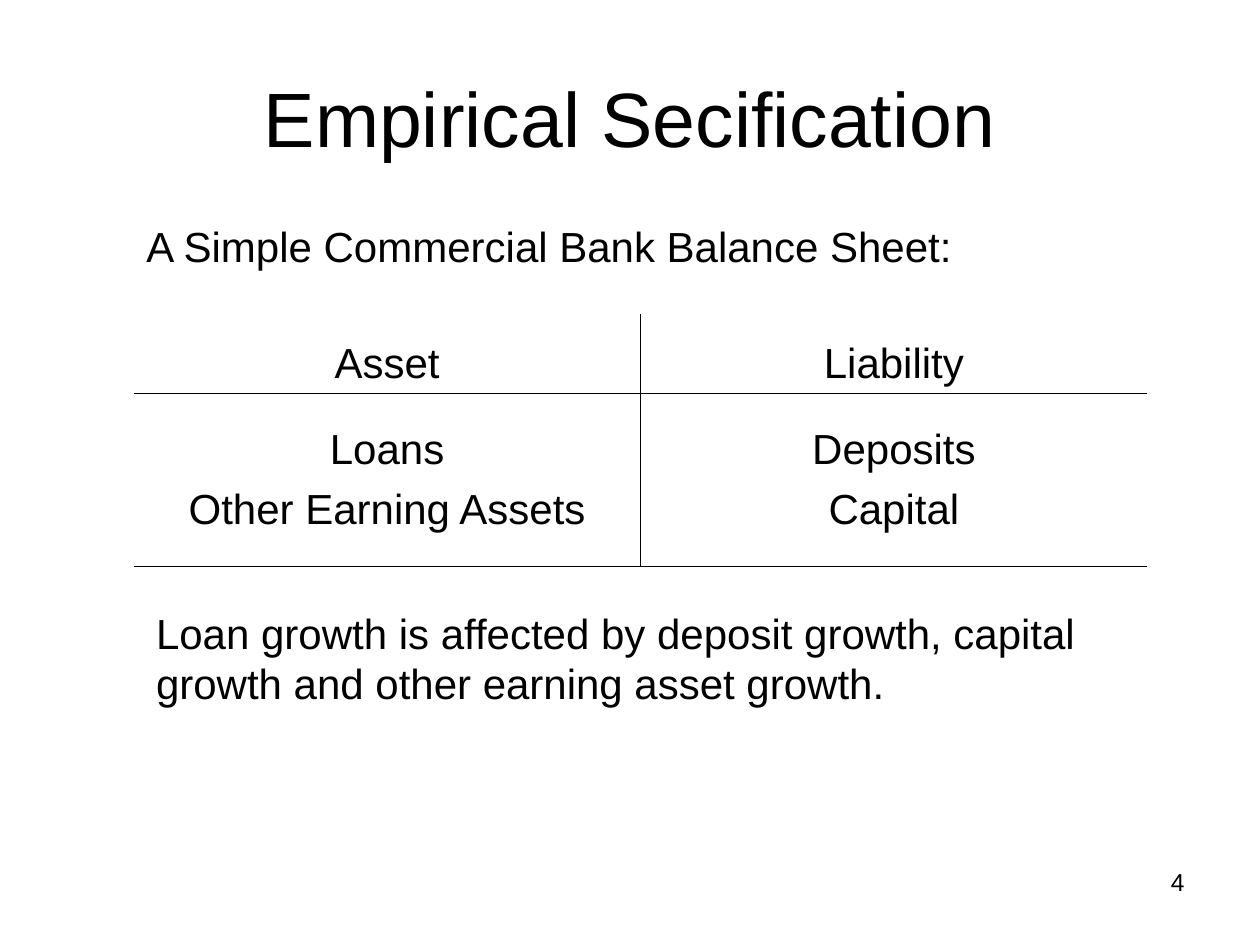
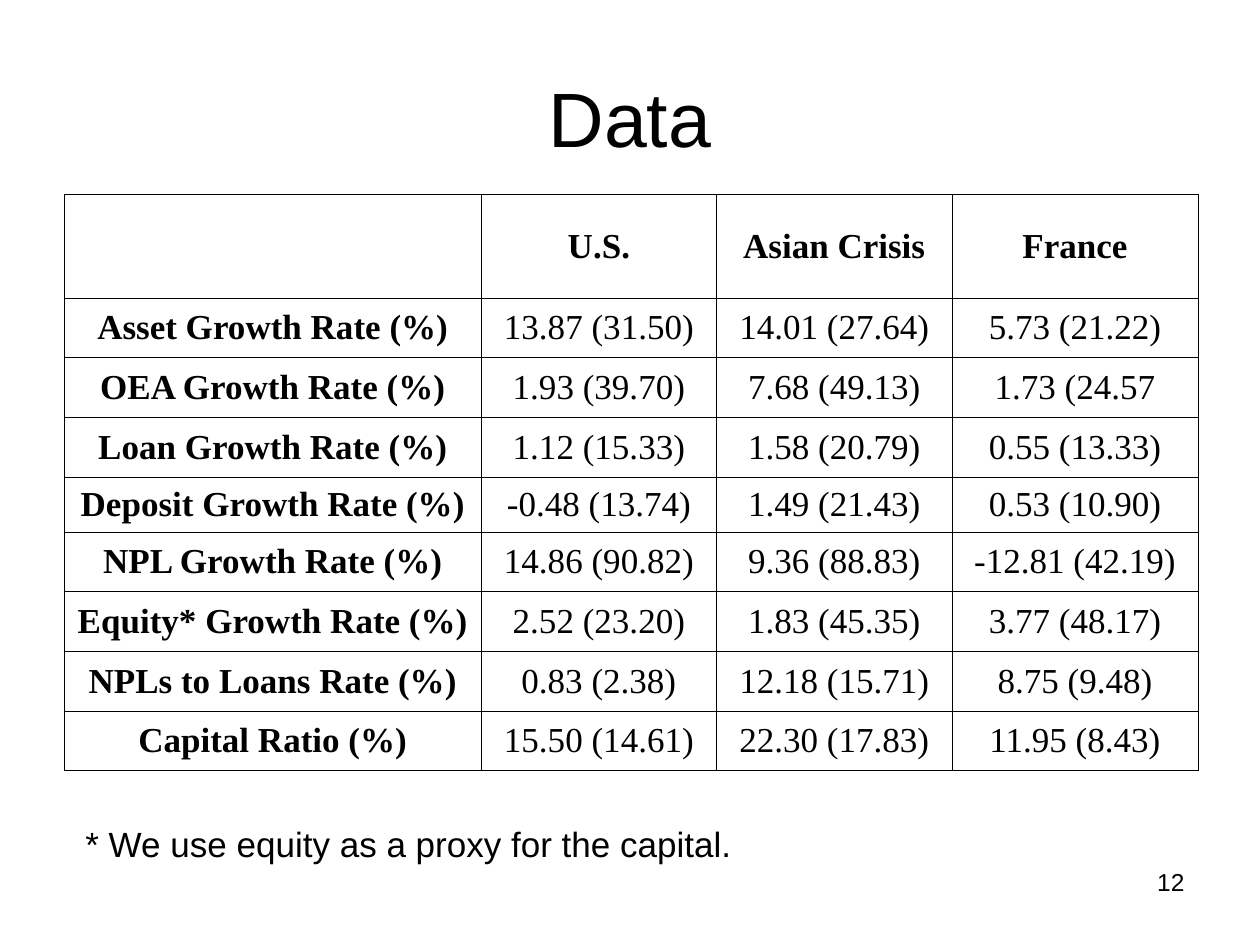
from dataclasses import dataclass

from lxml.etree import SubElement
from pptx import Presentation
from pptx.dml.color import RGBColor
from pptx.enum.text import MSO_ANCHOR as Anchor, MSO_AUTO_SIZE as AutoSize, PP_ALIGN as Align
from pptx.oxml.ns import qn
from pptx.util import Pt


@dataclass(frozen=True)
class Theme:
    ink: str = "000000"
    paper: str = "FFFFFF"
    sans: str = "Arial"
    serif: str = "Times New Roman"
    title: int = 44
    body: int = 24
    small: int = 20
    footer: int = 14
    hairline: float = 0.34
    rule: float = 0.45
    frame: float = 0.96


class Deck:
    def __init__(self, theme):
        self.theme = theme
        self.presentation = Presentation()
        self.presentation.slide_width = Pt(720)
        self.presentation.slide_height = Pt(540)
        self.slide = None

    def page(self, heading, number):
        self.slide = self.presentation.slides.add_slide(self.presentation.slide_layouts[6])
        background = self.slide.background.fill
        background.solid()
        background.fore_color.rgb = RGBColor.from_string(self.theme.paper)
        self.text((36, 21.6, 648, 90), [heading], self.theme.title, Align.CENTER, Anchor.MIDDLE)
        self.text((516.24, 491.76, 167.76, 37.44), [str(number)], self.theme.footer, Align.RIGHT)

    def add_words(self, paragraph, words, size, font, align, bold=False):
        paragraph.alignment = align
        run = paragraph.add_run()
        run.text = words
        run.font.size = Pt(size)
        run.font.name = font
        run.font.bold = bold
        run.font.color.rgb = RGBColor.from_string(self.theme.ink)

    def text(self, box, lines, size, align=Align.LEFT, anchor=Anchor.TOP, wrap=True, grow=False):
        frame = self.slide.shapes.add_textbox(*map(Pt, box)).text_frame
        frame.word_wrap = wrap
        frame.auto_size = AutoSize.SHAPE_TO_FIT_TEXT if grow else AutoSize.NONE
        frame.vertical_anchor = anchor
        for index, line in enumerate(lines):
            paragraph = frame.add_paragraph() if index else frame.paragraphs[0]
            self.add_words(paragraph, line, size, self.theme.sans, align)

    def border(self, cell, side, width):
        properties = cell._tc.get_or_add_tcPr()
        line = SubElement(properties, qn(f"a:ln{side}"), w=str(Pt(width)))
        if width:
            fill = SubElement(line, qn("a:solidFill"))
            SubElement(fill, qn("a:srgbClr"), val=self.theme.ink)
        else:
            SubElement(line, qn("a:noFill"))

    def table(self, corner, widths, heights, rows, across, down, anchors, size, font,
              before=0, hanging=0, bold_heads=False):
        extent = (sum(widths), sum(heights))
        grid = self.slide.shapes.add_table(
            len(rows), len(widths), *map(Pt, corner + extent)).table
        grid.first_row = grid.horz_banding = False
        for column, width in zip(grid.columns, widths):
            column.width = Pt(width)
        for r, (entries, height) in enumerate(zip(rows, heights)):
            grid.rows[r].height = Pt(height)
            for c, entry in enumerate(entries):
                cell = grid.cell(r, c)
                edges = {"L": down[c], "R": down[c + 1], "T": across[r], "B": across[r + 1]}
                for side, width in edges.items():
                    self.border(cell, side, width)
                cell.fill.background()
                cell.vertical_anchor = anchors[r]
                if not entry:
                    continue
                paragraph = cell.text_frame.paragraphs[0]
                paragraph.space_before = Pt(before)
                if hanging:
                    indents = paragraph._p.get_or_add_pPr()
                    indents.set("marL", str(Pt(hanging)))
                    indents.set("indent", str(-Pt(hanging)))
                self.add_words(paragraph, entry, size, font, Align.CENTER,
                               bold_heads and (r == 0 or c == 0))


def balance_sheet(deck):
    theme = deck.theme
    deck.page("Empirical Secification", 4)
    deck.table(
        (76.5, 179.3), [289.4, 289.8], [45.5, 49.5, 49.5],
        [("Asset", "Liability"),
         ("Loans", "Deposits"),
         ("Other Earning Assets", "Capital")],
        across=[0, theme.rule, 0, theme.rule],
        down=[0, theme.rule, 0],
        anchors=[Anchor.BOTTOM, Anchor.BOTTOM, Anchor.TOP],
        size=theme.body, font=theme.sans, before=6)
    deck.text((76.5, 122.4, 555.84, 36), ["A Simple Commercial Bank Balance Sheet:"],
              theme.body, grow=True)
    deck.text((82.1, 343.4, 546.5, 64.8),
              ["Loan growth is affected by deposit growth, capital",
               "growth and other earning asset growth."],
              theme.body, wrap=False, grow=True)


def growth_data(deck):
    theme = deck.theme
    deck.page("Data", 12)
    rows = [
        ("", "U.S.", "Asian Crisis", "France"),
        ("Asset Growth Rate (%)", "13.87 (31.50)", "14.01 (27.64)", "5.73 (21.22)"),
        ("OEA Growth Rate (%)", "1.93 (39.70)", "7.68 (49.13)", "1.73 (24.57"),
        ("Loan Growth Rate (%)", "1.12 (15.33)", "1.58 (20.79)", "0.55 (13.33)"),
        ("Deposit Growth Rate (%)", "-0.48 (13.74)", "1.49 (21.43)", "0.53 (10.90)"),
        ("NPL Growth Rate (%)", "14.86 (90.82)", "9.36 (88.83)", "-12.81 (42.19)"),
        ("Equity* Growth Rate (%)", "2.52 (23.20)", "1.83 (45.35)", "3.77 (48.17)"),
        ("NPLs to Loans Rate (%)", "0.83 (2.38)", "12.18 (15.71)", "8.75 (9.48)"),
        ("Capital Ratio (%)", "15.50 (14.61)", "22.30 (17.83)", "11.95 (8.43)"),
    ]
    deck.table(
        (36.7, 111.2), [238.3, 134.5, 134.5, 140.7],
        [59.2] + [34.1] * 3 + [31.5] + [34.1] * 4, rows,
        across=[theme.frame] + [theme.rule] * (len(rows) - 1) + [theme.frame],
        down=[theme.hairline] * 5,
        anchors=[Anchor.MIDDLE] * len(rows),
        size=theme.small, font=theme.serif, hanging=27, bold_heads=True)
    deck.text((41.76, 466.56, 383.76, 31.68), ["* We use equity as a proxy for the capital."],
              theme.small, wrap=False, grow=True)


def main():
    deck = Deck(Theme())
    balance_sheet(deck)
    growth_data(deck)
    deck.presentation.save("out.pptx")


if __name__ == "__main__":
    main()
